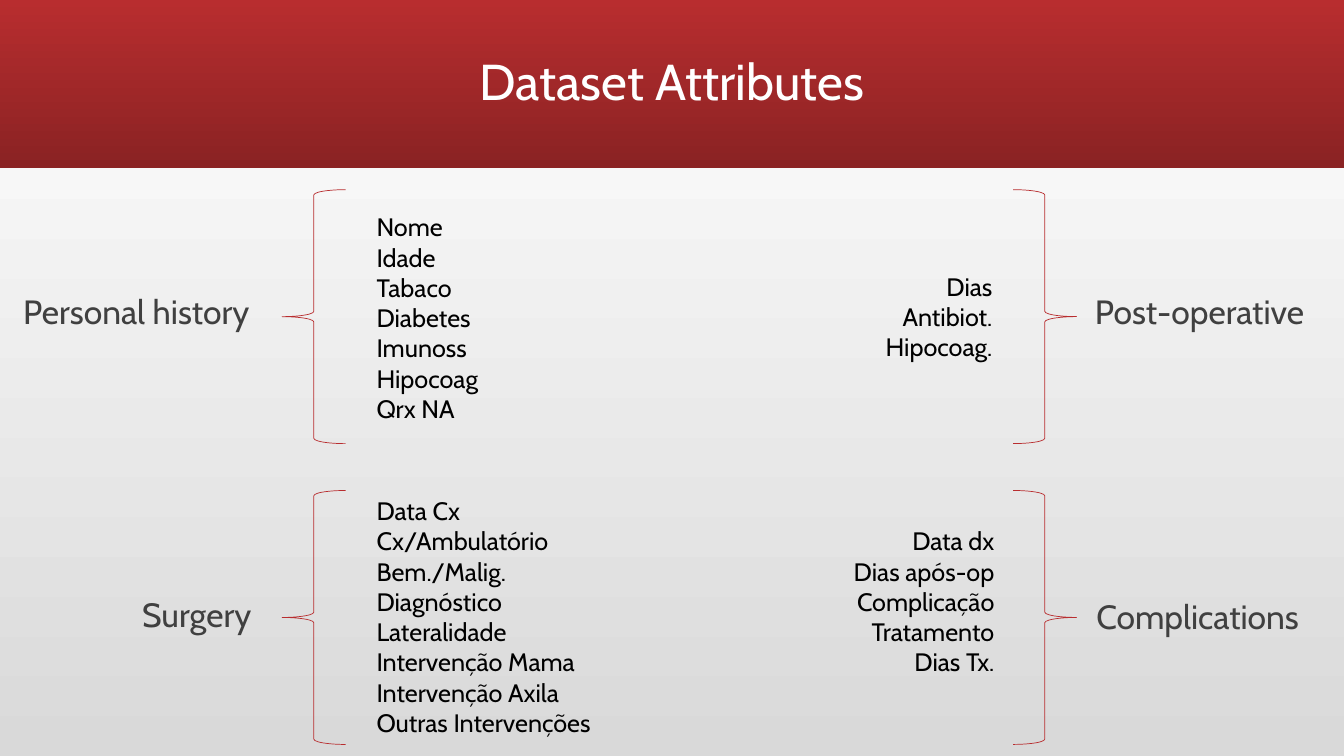
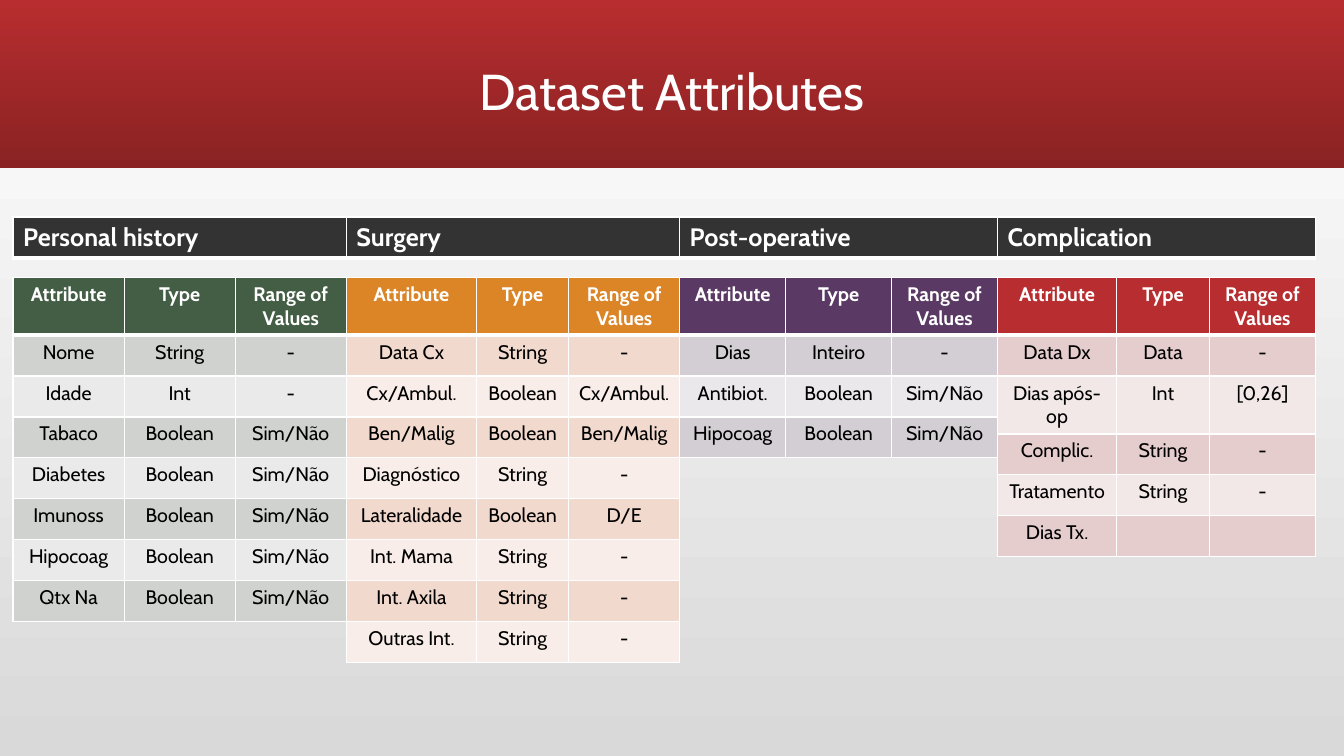
from dataclasses import dataclass
from itertools import accumulate

from lxml import etree
from pptx import Presentation
from pptx.dml import color
from pptx.enum import shapes, text
from pptx.oxml import ns
from pptx.util import Cm, Pt


@dataclass(frozen=True)
class Theme:
    font: str = "Cabin"
    red: str = "B82D2F"
    dark_red: str = "8A2223"
    white: str = "FFFFFF"
    grey: str = "D9D9D9"
    label: str = "404040"
    black: str = "000000"
    heading: str = "333333"
    title_size: int = 36
    label_size: int = 24
    list_size: int = 18
    table_size: int = 14
    thin: float = 1
    thick: float = 3


THEME = Theme()
SLIDE_WIDTH, SLIDE_HEIGHT = 33.87, 19.05
ROW_HEIGHT, HEADER_HEIGHT = 1.03, 1.42
BRACE_WIDTH, BRACE_HEIGHT = 1.6, 6.4
LINE_HEIGHT = 0.76
INSET = 0.25


@dataclass(frozen=True)
class Group:
    """Offsets run from the brace's top left corner; list_edge is the aligned side."""
    label: str
    label_left: float
    label_top: float
    list_edge: float
    list_top: float
    items: tuple
    mirrored: bool = False


@dataclass(frozen=True)
class Section:
    name: str
    widths: tuple
    fills: tuple  # header, odd rows, even rows
    rows: tuple


GROUPS = (
    Group("Personal history", -6.78, 2.55, 2.13, 0.43,
          ("Nome", "Idade", "Tabaco", "Diabetes", "Imunoss", "Hipocoag", "Qrx NA")),
    Group("Surgery", -3.78, 2.6, 2.13, 0,
          ("Data Cx", "Cx/Ambulatório", "Bem./Malig.", "Diagnóstico", "Lateralidade",
           "Intervenção Mama", "Intervenção Axila", "Outras Intervenções")),
    Group("Post-operative", 1.81, 2.53, -0.27, 1.93,
          ("Dias", "Antibiot.", "Hipocoag."), True),
    Group("Complications", 1.85, 2.65, -0.22, 0.76,
          ("Data dx", "Dias após-op", "Complicação", "Tratamento", "Dias Tx."), True),
)

YES_NO = ("Boolean", "Sim/Não")
FREE_TEXT = ("String", "-")
SECTIONS = (
    Section("Personal history", (2.8, 2.8, 2.8), ("445E45", "CFD2CF", "E9EAE9"),
            (("Nome", *FREE_TEXT), ("Idade", "Int", "-"), ("Tabaco", *YES_NO),
             ("Diabetes", *YES_NO), ("Imunoss", *YES_NO), ("Hipocoag", *YES_NO),
             ("Qtx Na", *YES_NO))),
    Section("Surgery", (3.28, 2.32, 2.8), ("DB8526", "F1D9CD", "F8EDE8"),
            (("Data Cx", *FREE_TEXT), ("Cx/Ambul.", "Boolean", "Cx/Ambul."),
             ("Ben/Malig", "Boolean", "Ben/Malig"), ("Diagnóstico", *FREE_TEXT),
             ("Lateralidade", "Boolean", "D/E"), ("Int. Mama", *FREE_TEXT),
             ("Int. Axila", *FREE_TEXT), ("Outras Int.", *FREE_TEXT))),
    Section("Post-operative", (2.67, 2.67, 2.67), ("5A3A64", "D2CED3", "EAE8EA"),
            (("Dias", "Inteiro", "-"), ("Antibiot.", *YES_NO), ("Hipocoag", *YES_NO))),
    Section("Complication", (3.0, 2.34, 2.67), (THEME.red, "E6CDCD", "F3E8E8"),
            (("Data Dx", "Data", "-"), ("Dias após-op", "Int", "[0,26]"),
             ("Complic.", *FREE_TEXT), ("Tratamento", *FREE_TEXT), ("Dias Tx.", "", ""))),
)


def rgb(value):
    return color.RGBColor.from_string(value)


def lengths(*values):
    return [Cm(value) for value in values]


def place(shape, left, top, width, height):
    shape.left, shape.top, shape.width, shape.height = lengths(left, top, width, height)


def add_run(para, words, size, ink, bold=False):
    span = para.add_run()
    span.text = words
    span.font.name = THEME.font
    span.font.size = Pt(size)
    span.font.bold = bold
    span.font.color.rgb = rgb(ink)


def fill_gradient(fill, start, end, angle):
    fill.gradient()
    fill.gradient_angle = angle
    for stop, value in zip(fill.gradient_stops, (start, end)):
        stop.color.rgb = rgb(value)


def style_master(master, page):
    """Give the master its background and band; the band is made on page, then moved."""
    fill_gradient(master.background.fill, THEME.grey, THEME.white, 90)
    band = page.shapes.add_shape(shapes.MSO_SHAPE.RECTANGLE, *lengths(0, 0, SLIDE_WIDTH, 4.23))
    band.shadow.inherit = False
    band.line.fill.background()
    fill_gradient(band.fill, THEME.red, THEME.dark_red, 270)
    band.element.nvSpPr.cNvPr.set("id", "100")
    master.shapes.element.insert(2, band.element)


def set_title(page, words, top):
    title = page.shapes.title
    place(title, 2.96, top, 27.94, 3.68)
    frame = title.text_frame
    frame.auto_size = text.MSO_AUTO_SIZE.NONE
    frame.vertical_anchor = text.MSO_ANCHOR.MIDDLE
    para = frame.paragraphs[0]
    para.alignment = text.PP_ALIGN.CENTER
    para.line_spacing = 0.9
    add_run(para, words, THEME.title_size, THEME.white)


def write_label(box, words):
    frame = box.text_frame
    frame.word_wrap = True
    frame.auto_size = text.MSO_AUTO_SIZE.NONE
    para = frame.paragraphs[0]
    para.line_spacing = 0.9
    para.space_before = Pt(18)
    settings = para._p.get_or_add_pPr()
    settings.set("marL", "0")
    settings.set("indent", "0")
    etree.SubElement(settings, ns.qn("a:buNone"))
    add_run(para, words, THEME.label_size, THEME.label)


def add_brace(page, left, top, mirrored):
    kind = shapes.MSO_SHAPE.RIGHT_BRACE if mirrored else shapes.MSO_SHAPE.LEFT_BRACE
    brace = page.shapes.add_shape(kind, *lengths(left, top, BRACE_WIDTH, BRACE_HEIGHT))
    brace.shadow.inherit = False
    brace.fill.background()
    brace.line.color.rgb = rgb(THEME.red)
    brace.line.width = Pt(0.5)


def add_list(page, left, top, width, items, alignment):
    height = len(items) * LINE_HEIGHT + INSET
    frame = page.shapes.add_textbox(*lengths(left, top, width, height)).text_frame
    frame.word_wrap = True
    for index, item in enumerate(items):
        para = frame.add_paragraph() if index else frame.paragraphs[0]
        para.alignment = alignment
        add_run(para, item, THEME.list_size, THEME.black)


def add_group(page, left, top, group, placeholder=None):
    """Place a brace at left, top with its label outside and its list inside."""
    add_brace(page, left, top, group.mirrored)
    label_left = left + group.label_left
    label_width = (SLIDE_WIDTH - INSET if group.mirrored else left) - label_left
    label_area = (label_left, top + group.label_top, label_width, 1.4)
    if placeholder is None:
        write_label(page.shapes.add_textbox(*lengths(*label_area)), group.label)
    else:
        place(placeholder, *label_area)
        write_label(placeholder, group.label)
    list_width = 4.6 if group.mirrored else 6.2
    list_left = left + group.list_edge - (list_width if group.mirrored else 0)
    alignment = text.PP_ALIGN.RIGHT if group.mirrored else text.PP_ALIGN.LEFT
    add_list(page, list_left, top + group.list_top, list_width, group.items, alignment)


def set_borders(cell, top, bottom):
    settings = cell._tc.get_or_add_tcPr()
    for side, width in zip("LRTB", (THEME.thin, THEME.thin, top, bottom)):
        line = etree.SubElement(settings, ns.qn(f"a:ln{side}"), w=str(Pt(width)))
        solid = etree.SubElement(line, ns.qn("a:solidFill"))
        etree.SubElement(solid, ns.qn("a:srgbClr"), val=THEME.white)


def add_grid(page, left, top, widths, heights):
    size = lengths(left, top, sum(widths), sum(heights))
    grid = page.shapes.add_table(len(heights), len(widths), *size).table
    grid.horz_banding = False
    for column, width in zip(grid.columns, widths):
        column.width = Cm(width)
    for row, height in zip(grid.rows, heights):
        row.height = Cm(height)
    return grid


def fill_cell(cell, words, fill, size, ink, bold, alignment, top, bottom):
    set_borders(cell, top, bottom)
    cell.fill.solid()
    cell.fill.fore_color.rgb = rgb(fill)
    para = cell.text_frame.paragraphs[0]
    para.alignment = alignment
    if words:
        add_run(para, words, size, ink, bold)


def add_section_names(page, left, top, widths):
    grid = add_grid(page, left, top, widths, (ROW_HEIGHT,))
    for cell, section in zip(grid.rows[0].cells, SECTIONS):
        fill_cell(cell, section.name, THEME.heading, THEME.list_size, THEME.white, True,
                  text.PP_ALIGN.LEFT, THEME.thin, THEME.thick)


def add_section_table(page, left, top, section):
    rows = (("Attribute", "Type", "Range of Values"), *section.rows)
    heights = (HEADER_HEIGHT, *[ROW_HEIGHT] * len(section.rows))
    grid = add_grid(page, left, top, section.widths, heights)
    header, odd, even = section.fills
    for index, row in enumerate(rows):
        is_header = index == 0
        fill = header if is_header else odd if index % 2 else even
        ink = THEME.white if is_header else THEME.black
        upper = THEME.thick if index == 1 else THEME.thin
        lower = THEME.thick if is_header else THEME.thin
        for cell, words in zip(grid.rows[index].cells, row):
            fill_cell(cell, words, fill, THEME.table_size, ink, is_header,
                      text.PP_ALIGN.CENTER, upper, lower)


def build_groups_slide(page):
    set_title(page, "Dataset Attributes", 0.28)
    corners = [(left, top) for left in (7.11, 25.53) for top in (4.78, 12.36)]
    placeholders = (page.placeholders[1], None, None, None)
    for (left, top), group, placeholder in zip(corners, GROUPS, placeholders):
        add_group(page, left, top, group, placeholder)


def build_tables_slide(page):
    set_title(page, "Dataset Attributes", 0.53)
    widths = [sum(section.widths) for section in SECTIONS]
    lefts = accumulate(widths, initial=0.33)
    add_section_names(page, 0.33, 5.47, widths)
    for left, section in zip(lefts, SECTIONS):
        add_section_table(page, left, 6.99, section)


def main():
    deck = Presentation()
    deck.slide_width, deck.slide_height = lengths(SLIDE_WIDTH, SLIDE_HEIGHT)
    title_and_body, title_only = deck.slide_layouts[1], deck.slide_layouts[5]
    groups_page = deck.slides.add_slide(title_and_body)
    style_master(deck.slide_master, groups_page)
    build_groups_slide(groups_page)
    build_tables_slide(deck.slides.add_slide(title_only))
    deck.save("out.pptx")


if __name__ == "__main__":
    main()
